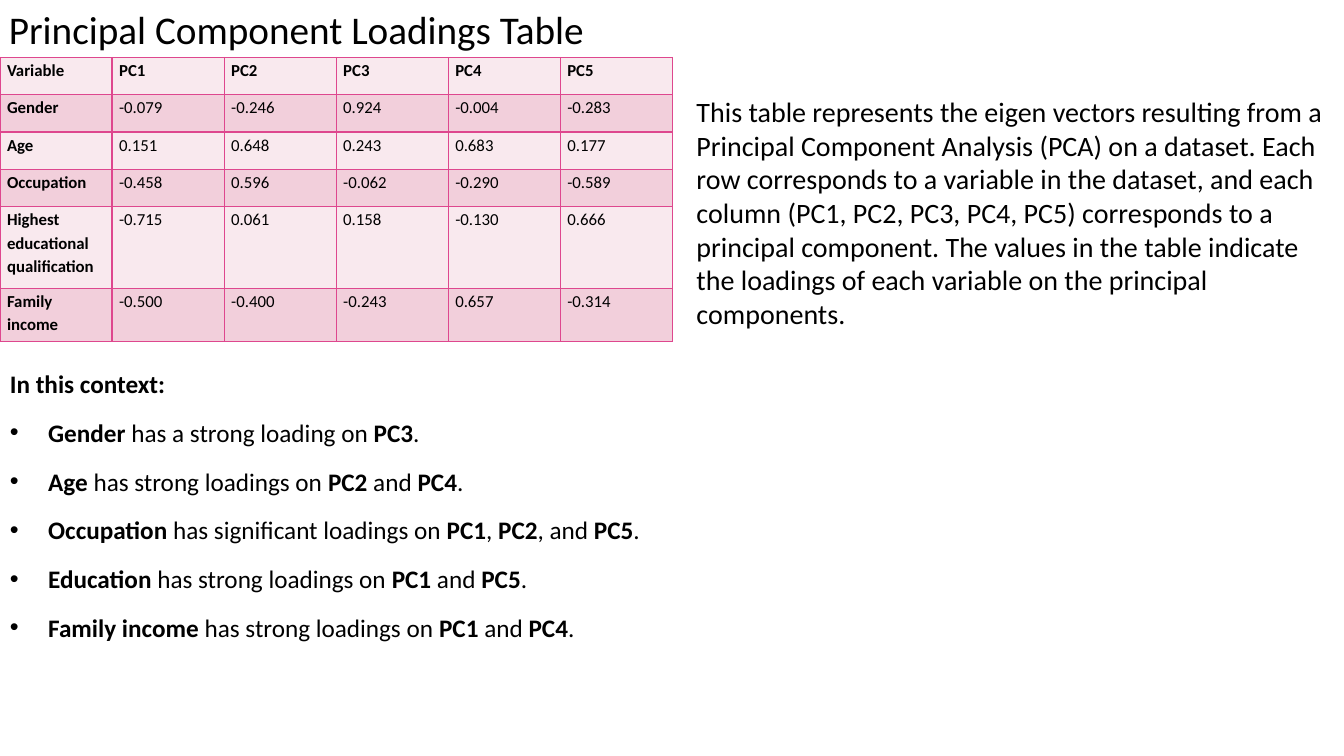
from lxml import etree
from pptx import Presentation
from pptx.dml.color import RGBColor
from pptx.enum.text import MSO_AUTO_SIZE, PP_ALIGN
from pptx.oxml import parse_xml
from pptx.oxml.ns import nsdecls, qn
from pptx.util import Inches, Pt

BLACK = RGBColor(0x00, 0x00, 0x00)
PALE = RGBColor(0xF9, 0xE9, 0xEE)
ROSE = RGBColor(0xF2, 0xCF, 0xDB)
PINK = RGBColor(0xDE, 0x47, 0x8E)
GROW = MSO_AUTO_SIZE.SHAPE_TO_FIT_TEXT
JUSTIFY = PP_ALIGN.JUSTIFY
FONT = "Calibri"

TITLE = "Principal Component Loadings Table"
ROWS = [
    ["Variable", "PC1", "PC2", "PC3", "PC4", "PC5"],
    ["Gender", "-0.079", "-0.246", "0.924", "-0.004", "-0.283"],
    ["Age", "0.151", "0.648", "0.243", "0.683", "0.177"],
    ["Occupation", "-0.458", "0.596", "-0.062", "-0.290", "-0.589"],
    ["Highest educational qualification",
     "-0.715", "0.061", "0.158", "-0.130", "0.666"],
    ["Family income", "-0.500", "-0.400", "-0.243", "0.657", "-0.314"],
]
HEIGHTS = [0.37, 0.37, 0.37, 0.37, 0.81, 0.53]
ABOUT = (
    "This table represents the eigen vectors resulting from a Principal "
    "Component Analysis (PCA) on a dataset. Each row corresponds to a variable "
    "in the dataset, and each column (PC1, PC2, PC3, PC4, PC5) corresponds to a "
    "principal component. The values in the table indicate the loadings of each "
    "variable on the principal components."
)
# Asterisks enclose the bold words.
POINTS = [
    "*Gender* has a strong loading on *PC3*.",
    "*Age* has strong loadings on *PC2* and *PC4*.",
    "*Occupation* has significant loadings on *PC1*, *PC2*, and *PC5*.",
    "*Education* has strong loadings on *PC1* and *PC5*.",
    "*Family income* has strong loadings on *PC1* and *PC4*.",
]


def style(para, size, bold=None):
    font = para.font
    font.name, font.size, font.bold = FONT, Pt(size), bold
    font.color.rgb = BLACK


def space(para):
    para.line_spacing = 1.15
    para.space_after = Pt(10)


def add_frame(slide, box):
    frame = slide.shapes.add_textbox(*map(Inches, box)).text_frame
    frame.word_wrap = True
    frame.auto_size = GROW
    return frame


def add_text(slide, box, text, size):
    para = add_frame(slide, box).paragraphs[0]
    para.text = text
    style(para, size)


def add_edges(cell):
    """Draw a thin pink line on all four sides of the cell."""
    props = cell._tc.get_or_add_tcPr()
    for side in "LRTB":
        props.append(parse_xml(
            f'<a:ln{side} {nsdecls("a")} w="12700"><a:solidFill>'
            f'<a:srgbClr val="{PINK}"/></a:solidFill></a:ln{side}>'))


def add_grid(slide, box):
    """Place the loadings table, with bold labels and banded rows."""
    count = len(ROWS[0])
    grid = slide.shapes.add_table(len(ROWS), count, *map(Inches, box)).table
    grid.first_row = grid.horz_banding = False
    for col in grid.columns:
        col.width = Inches(box[2] / count)
    for i, (values, height) in enumerate(zip(ROWS, HEIGHTS)):
        grid.rows[i].height = Inches(height)
        for j, value in enumerate(values):
            cell = grid.cell(i, j)
            cell.margin_left = cell.margin_right = Inches(0.07)
            cell.margin_top = cell.margin_bottom = 0
            add_edges(cell)
            cell.fill.solid()
            cell.fill.fore_color.rgb = ROSE if i % 2 else PALE
            para = cell.text_frame.paragraphs[0]
            para.text = value
            space(para)
            style(para, 12, i == 0 or j == 0)


def add_bullet(para):
    props = para._p.get_or_add_pPr()
    indent = Inches(0.38)
    props.set("marL", str(indent))
    props.set("indent", str(-indent))
    etree.SubElement(props, qn("a:buFont")).set("typeface", "Arial")
    etree.SubElement(props, qn("a:buChar")).set("char", "•")
    tabs = etree.SubElement(props, qn("a:tabLst"))
    tab = etree.SubElement(tabs, qn("a:tab"))
    tab.set("pos", str(Inches(0.5)))
    tab.set("algn", "l")


def add_points(slide, box):
    frame = add_frame(slide, box)
    head = frame.paragraphs[0]
    head.text = "In this context: "
    head.alignment = JUSTIFY
    space(head)
    style(head, 18, True)
    for point in POINTS:
        para = frame.add_paragraph()
        add_bullet(para)
        space(para)
        style(para, 18)
        for k, part in enumerate(point.split("*")):
            if part:
                run = para.add_run()
                run.text = part
                run.font.bold = k % 2 == 1


def main():
    deck = Presentation()
    deck.slide_width, deck.slide_height = Inches(13.33), Inches(7.5)
    slide = deck.slides.add_slide(deck.slide_layouts[6])
    add_grid(slide, (0, 0.57, 6.67, sum(HEIGHTS)))
    add_text(slide, (-0.01, 0, 6.67, 0.57), TITLE, 28)
    add_text(slide, (6.81, 0.89, 6.53, 2.46), ABOUT, 20)
    add_points(slide, (0, 3.56, 6.74, 2.87))
    deck.save("out.pptx")


if __name__ == "__main__":
    main()
